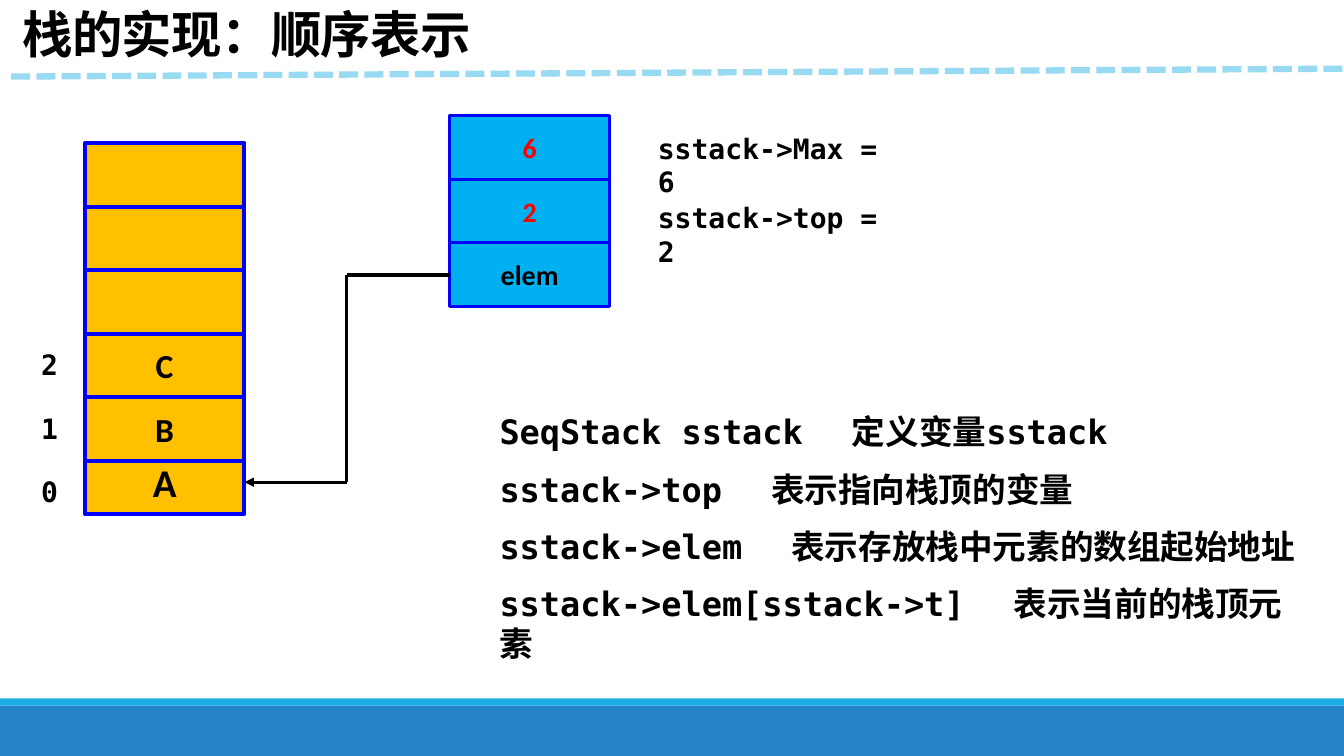
"""Builds a slide on the sequential representation of a stack."""
import pptx
import pptx.util
import pptx.dml.color
import pptx.enum.dml
import pptx.enum.shapes
import pptx.enum.text
import pptx.oxml.ns
import lxml.etree

Cm, Pt = pptx.util.Cm, pptx.util.Pt
ALIGN, ANCHOR = pptx.enum.text.PP_ALIGN, pptx.enum.text.MSO_ANCHOR

TITLE = "栈的实现：顺序表示"
STACK_SLOTS = ["A", "B", "C", "", "", ""]
INDICES = ["0", "1", "2"]
RECORD_FIELDS = [("6", "value"), ("2", "value"), ("elem", "ink")]
FIELD_NOTES = ["sstack->Max = 6", "sstack->top = 2"]
DEFINITIONS = [
    ("SeqStack sstack", "定义变量sstack", "mono"),
    ("sstack->top", "表示指向栈顶的变量", "text"),
    ("sstack->elem", "表示存放栈中元素的数组起始地址", "text"),
    ("sstack->elem[sstack->t]", "表示当前的栈顶元素", "text"),
]

THEME = {
    "ink": "000000", "value": "FF0000", "border": "0000FF", "slot": "FFC000",
    "field": "00B0F0", "rule": "99DAF3", "footer": "2683C6", "footer_edge": "1CADE4",
    "title": "Noto Sans CJK SC", "mono": "DejaVu Sans Mono", "text": "Arial", "cell": "Calibri",
    "title_size": 36, "first_slot_size": 28, "slot_size": 24, "body_size": 24, "small_size": 20,
}
SLIDE_W, SLIDE_H = 33.87, 19.05
CELL_H = 1.6
STACK_LEFT, STACK_TOP, STACK_W = 2.14, 3.61, 4.02
FIRST_SLOT_LIFT = 0.26
RECORD_LEFT, RECORD_TOP, RECORD_W = 11.33, 2.92, 4.04
ELBOW_X = 8.74
MONO_ADVANCE, DEFINITION_GAP = 0.602, 35

deck = pptx.Presentation()
deck.slide_width, deck.slide_height = Cm(SLIDE_W), Cm(SLIDE_H)
slide = deck.slides.add_slide(deck.slide_layouts[6])


def color(name):
    return pptx.dml.color.RGBColor.from_string(THEME[name])


def write(paragraph, text, size="small_size", font="mono", ink="ink", spacing=None):
    run = paragraph.add_run()
    run.text = text
    run.font.size, run.font.bold = Pt(THEME[size]), True
    run.font.name = THEME[font]
    run.font.color.rgb = color(ink)
    properties = run.font._element
    lxml.etree.SubElement(properties, pptx.oxml.ns.qn("a:ea"), typeface=THEME[font])
    if spacing is not None:
        properties.set("spc", str(spacing))


def text_box(left, top, width, height):
    frame = slide.shapes.add_textbox(Cm(left), Cm(top), Cm(width), Cm(height)).text_frame
    frame.word_wrap = True
    return frame


def block(left, top, width, height, fill, border=None):
    rect = slide.shapes.add_shape(pptx.enum.shapes.MSO_SHAPE.RECTANGLE,
                                  Cm(left), Cm(top), Cm(width), Cm(height))
    rect.shadow.inherit = False
    rect.fill.solid()
    rect.fill.fore_color.rgb = color(fill)
    if border:
        rect.line.color.rgb = color("border")
        rect.line.width = Pt(border)
    else:
        rect.line.fill.background()
    return rect


def cell(left, top, width, fill, border, text, **text_format):
    rect = block(left, top, width, CELL_H, fill, border)
    if text:
        rect.text_frame.vertical_anchor = ANCHOR.MIDDLE
        paragraph = rect.text_frame.paragraphs[0]
        paragraph.alignment = ALIGN.CENTER
        write(paragraph, text, font="cell", **text_format)
    return rect


def connect(start, end, ink="ink", width=2.25):
    line = slide.shapes.add_connector(pptx.enum.shapes.MSO_CONNECTOR.STRAIGHT, *start, *end)
    line.line.color.rgb = color(ink)
    line.line.width = Pt(width)
    lxml.etree.SubElement(line._element.spPr, pptx.oxml.ns.qn("a:effectLst"))
    return line


block(0, 17.78, SLIDE_W, 1.27, "footer")
block(0, 17.6, SLIDE_W, 0.18, "footer_edge")

heading = text_box(0, 0.03, SLIDE_W, 1.7)
heading.margin_left = Cm(0.57)
heading.vertical_anchor = ANCHOR.BOTTOM
heading.paragraphs[0].line_spacing = 0.85
write(heading.paragraphs[0], TITLE, size="title_size", font="title", spacing=-50)
divider = connect((Cm(0.28), Cm(1.93)), (Cm(SLIDE_W), Cm(1.73)), "rule", 4.5)
divider.line.dash_style = pptx.enum.dml.MSO_LINE.SQUARE_DOT
divider.line._ln.find(pptx.oxml.ns.qn("a:prstDash")).set("val", "sysDash")

definitions = text_box(12.34, 10.24, 20.8, 5.89)
for row, (name, meaning, font) in enumerate(DEFINITIONS):
    paragraph = definitions.paragraphs[0] if row == 0 else definitions.add_paragraph()
    paragraph.space_before = Pt(THEME["body_size"] / 2)
    stop = Pt(len(name) * THEME["body_size"] * MONO_ADVANCE + DEFINITION_GAP)
    tabs = lxml.etree.SubElement(paragraph._p.get_or_add_pPr(), pptx.oxml.ns.qn("a:tabLst"))
    lxml.etree.SubElement(tabs, pptx.oxml.ns.qn("a:tab"), pos=str(int(stop)), algn="l")
    write(paragraph, name + "\t", size="body_size")
    write(paragraph, meaning, size="body_size", font=font)

slots = []
for level, letter in enumerate(STACK_SLOTS):
    top = STACK_TOP + (len(STACK_SLOTS) - 1 - level) * CELL_H
    first = level == 0
    slots.append(cell(STACK_LEFT, top - (FIRST_SLOT_LIFT if first else 0), STACK_W, "slot", 3,
                      letter, size="first_slot_size" if first else "slot_size"))

fields = [cell(RECORD_LEFT, RECORD_TOP + row * CELL_H, RECORD_W, "field", 2.25, text, ink=ink)
          for row, (text, ink) in enumerate(RECORD_FIELDS)]

elem, base = fields[-1], slots[0]
elem_y, base_y = elem.top + elem.height // 2, base.top + base.height // 2
upper_corner, lower_corner = (Cm(ELBOW_X), elem_y), (Cm(ELBOW_X), base_y)
connect((elem.left, elem_y), upper_corner, width=3).begin_connect(elem, 1)
connect(upper_corner, lower_corner)
arrow = connect(lower_corner, (base.left + base.width, base_y))
arrow.end_connect(base, 3)
lxml.etree.SubElement(arrow.line._ln, pptx.oxml.ns.qn("a:tailEnd"), type="triangle")

for row, note in enumerate(FIELD_NOTES):
    write(text_box(16.33, 3.18 + row * 1.75, 6.78, 1.12).paragraphs[0], note)
for level, index in enumerate(INDICES):
    write(text_box(0.79, 11.84 - level * CELL_H, 0.95, 1.12).paragraphs[0], index)

deck.save("out.pptx")
